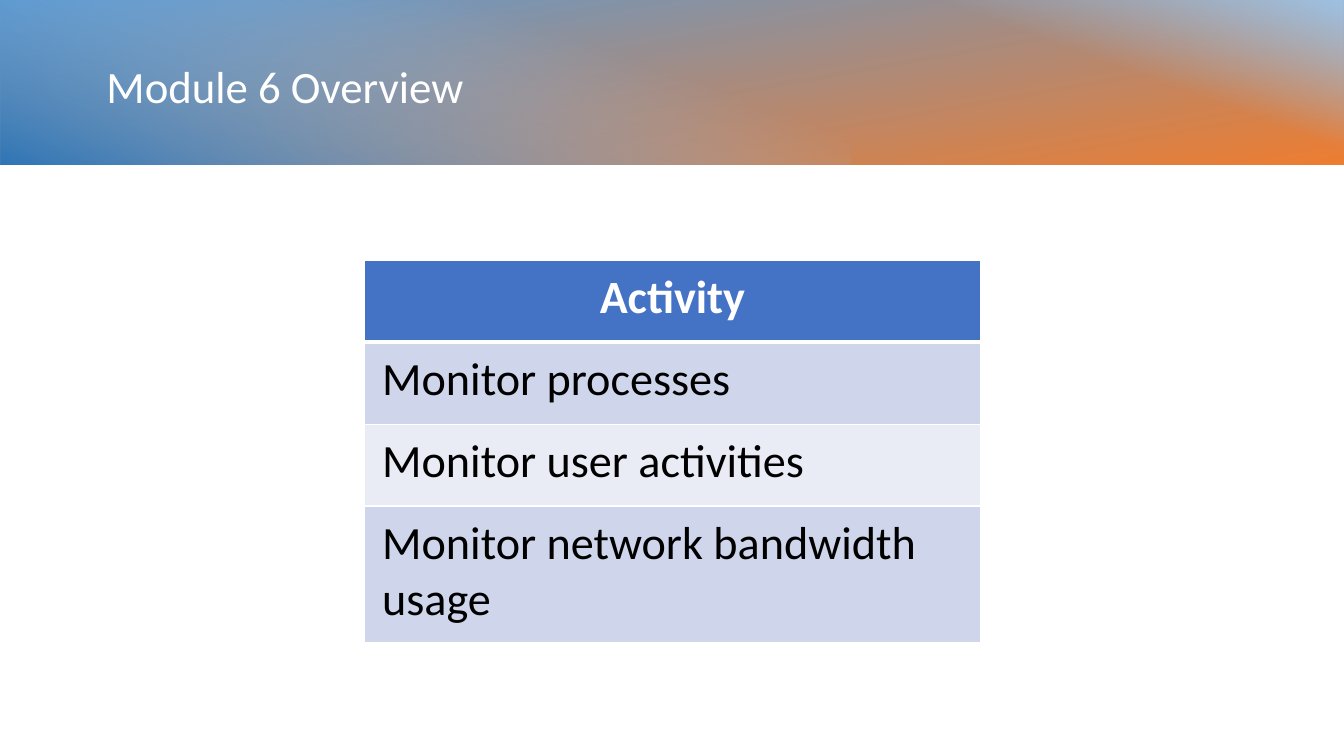
from lxml import etree
from pptx import Presentation
from pptx.dml.color import RGBColor
from pptx.enum.shapes import MSO_SHAPE
from pptx.enum.text import MSO_ANCHOR, PP_ALIGN
from pptx.oxml import parse_xml
from pptx.oxml.ns import nsdecls, qn
from pptx.util import Pt

EMU_PER_PX = 9525
FONT = "Calibri"
WHITE = RGBColor(0xFF, 0xFF, 0xFF)
BLACK = RGBColor(0x00, 0x00, 0x00)
BLUE = RGBColor(0x5B, 0x9B, 0xD5)
ORANGE = RGBColor(0xED, 0x7D, 0x31)
LIGHT_BLUE = RGBColor(0x9D, 0xC3, 0xE6)
DARK_BLUE = RGBColor(0x2E, 0x75, 0xB6)
HEADER_FILL = RGBColor(0x44, 0x72, 0xC4)
ODD_FILL = RGBColor(0xCF, 0xD5, 0xEA)
EVEN_FILL = RGBColor(0xE9, 0xEB, 0xF5)

BANNER_TOP, BANNER_HEIGHT = -2, 159
ACTIVITIES = ["Monitor processes", "Monitor user activities",
              "Monitor network bandwidth usage"]
ROW_HEIGHTS = [78, 78, 78, 130]


def px(length):
    return round(length * EMU_PER_PX)


def add_run(paragraph, text, size, color, bold=False):
    run = paragraph.add_run()
    run.text = text
    run.font.name = FONT
    run.font.size = Pt(size)
    run.font.bold = bold
    run.font.color.rgb = color


def set_gradient(shape, stops, angle):
    """Fill with (position %, colour, opacity %) stops along a clockwise angle."""
    stop_xml = "".join(
        f'<a:gs pos="{position * 1000}"><a:srgbClr val="{color}">'
        f'<a:alpha val="{opacity * 1000}"/></a:srgbClr></a:gs>'
        for position, color, opacity in stops)
    gradient = parse_xml(
        f'<a:gradFill {nsdecls("a")} rotWithShape="1"><a:gsLst>{stop_xml}</a:gsLst>'
        f'<a:lin ang="{angle * 60000}" scaled="0"/></a:gradFill>')
    shape.fill.background()
    properties = shape._element.spPr
    properties.replace(properties.find(qn("a:noFill")), gradient)


def add_banner_layer(shapes, left, width, rotation, stops, angle):
    """Add an upright rectangle that a quarter turn lays across the banner."""
    center_x = left + width / 2
    center_y = BANNER_TOP + BANNER_HEIGHT / 2
    layer = shapes.add_shape(
        MSO_SHAPE.RECTANGLE, px(center_x - BANNER_HEIGHT / 2),
        px(center_y - width / 2), px(BANNER_HEIGHT), px(width))
    layer.rotation = rotation
    layer.shadow.inherit = False
    layer.line.fill.background()
    set_gradient(layer, stops, angle)


def add_title(slide, text):
    box = slide.shapes.add_textbox(px(92), px(32), px(1100), px(106))
    frame = box.text_frame
    frame.word_wrap = True
    frame.vertical_anchor = MSO_ANCHOR.MIDDLE
    paragraph = frame.paragraphs[0]
    paragraph.line_spacing = 0.9
    add_run(paragraph, text, 32, WHITE)


def set_borders(cell, top, bottom):
    """Draw white cell borders; top and bottom widths are in points."""
    properties = cell._tc.get_or_add_tcPr()
    sides = {"lnL": 1, "lnR": 1, "lnT": top, "lnB": bottom}
    for index, (side, width) in enumerate(sides.items()):
        line = etree.Element(qn(f"a:{side}"), w=str(Pt(width)))
        fill = etree.SubElement(line, qn("a:solidFill"))
        etree.SubElement(fill, qn("a:srgbClr"), val=str(WHITE))
        properties.insert(index, line)


def fill_cell(cell, text, fill, color, is_header=False):
    cell.fill.solid()
    cell.fill.fore_color.rgb = fill
    cell.margin_left = cell.margin_right = px(17)
    cell.margin_top = cell.margin_bottom = px(9)
    paragraph = cell.text_frame.paragraphs[0]
    paragraph.alignment = PP_ALIGN.CENTER if is_header else PP_ALIGN.LEFT
    add_run(paragraph, text, 33, color, bold=is_header)


def add_activity_table(slide):
    table = slide.shapes.add_table(
        len(ROW_HEIGHTS), 1, px(347), px(248), px(587), px(sum(ROW_HEIGHTS))).table
    for row, height in zip(table.rows, ROW_HEIGHTS):
        row.height = px(height)
    header = table.cell(0, 0)
    fill_cell(header, "Activity", HEADER_FILL, WHITE, is_header=True)
    set_borders(header, top=1, bottom=3)
    for index, activity in enumerate(ACTIVITIES, start=1):
        cell = table.cell(index, 0)
        fill_cell(cell, activity, ODD_FILL if index % 2 else EVEN_FILL, BLACK)
        set_borders(cell, top=3 if index == 1 else 1, bottom=1)


def main():
    presentation = Presentation()
    presentation.slide_width = px(1280)
    presentation.slide_height = px(720)
    slide = presentation.slides.add_slide(presentation.slide_layouts[6])

    banner = slide.shapes.add_group_shape().shapes
    add_banner_layer(banner, 0, 1280, 270, [(0, BLUE, 100), (100, ORANGE, 100)], 170)
    add_banner_layer(banner, 749, 531, 270,
                     [(59, LIGHT_BLUE, 0), (100, LIGHT_BLUE, 100)], 20)
    add_banner_layer(banner, 0, 810, 90,
                     [(29, LIGHT_BLUE, 0), (100, DARK_BLUE, 100)], 20)
    add_title(slide, "Module 6 Overview")
    add_activity_table(slide)
    presentation.save("out.pptx")


if __name__ == "__main__":
    main()
